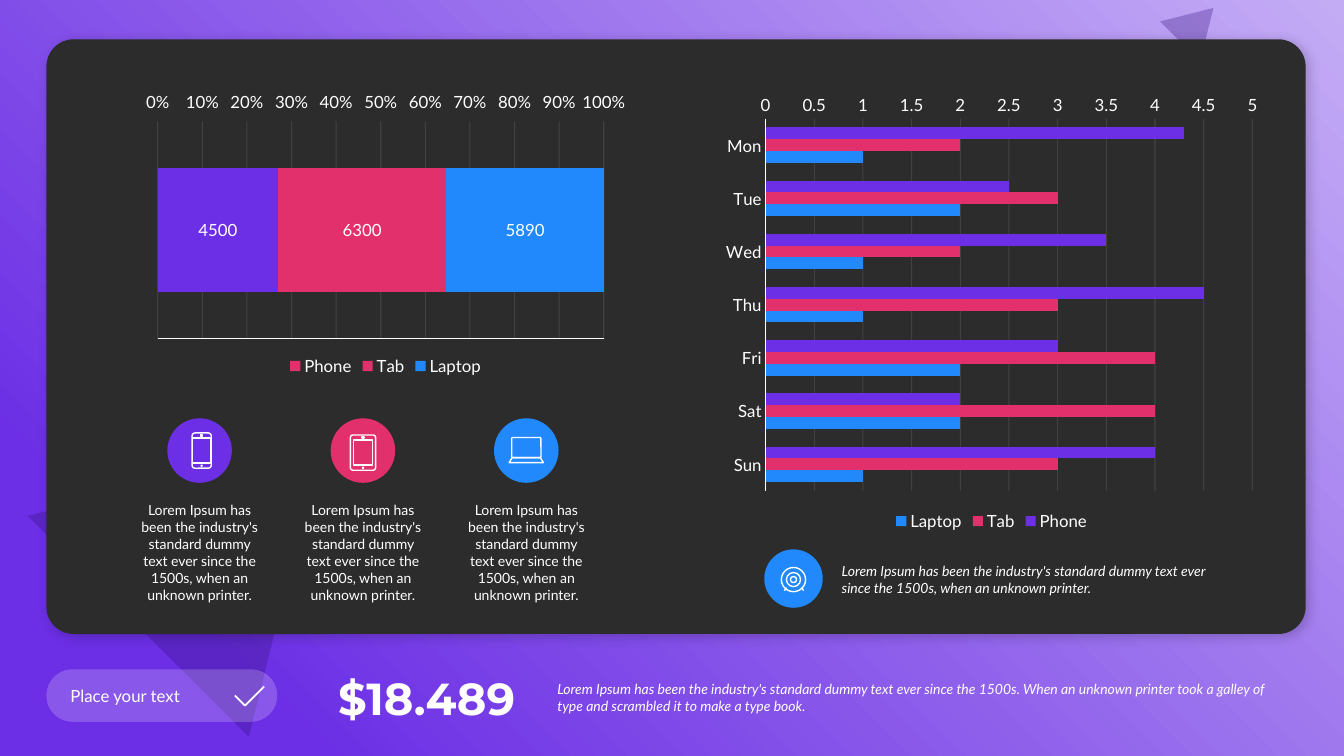
from lxml.etree import SubElement
from pptx import Presentation
from pptx.chart.data import CategoryChartData
from pptx.dml.color import RGBColor
from pptx.enum.chart import XL_CHART_TYPE as Chart, XL_LEGEND_POSITION as Legend
from pptx.enum.chart import XL_TICK_LABEL_POSITION as LabelPosition, XL_TICK_MARK as Tick
from pptx.enum.shapes import MSO_SHAPE as Preset
from pptx.enum.text import MSO_ANCHOR as Anchor, MSO_AUTO_SIZE as AutoSize, PP_ALIGN as Align
from pptx.oxml.ns import qn
from pptx.util import Inches, Pt

WHITE = RGBColor(0xFF, 0xFF, 0xFF)
BLACK = RGBColor(0, 0, 0)
DARK = RGBColor(0x2C, 0x2C, 0x2C)
INDIGO = RGBColor(0x33, 0x0F, 0x7B)
LAVENDER = RGBColor(0xC4, 0xAC, 0xF5)
PURPLE = RGBColor(0x6C, 0x2F, 0xE5)
PINK = RGBColor(0xE1, 0x30, 0x6C)
BLUE = RGBColor(0x21, 0x89, 0xFB)

PRICE = "$18.489"
BUTTON = "Place your text"
SHORT_TEXT = ("Lorem Ipsum has been the industry's standard dummy text ever since "
              "the 1500s, when an unknown printer.")
LONG_TEXT = ("Lorem Ipsum has been the industry's standard dummy text ever since the 1500s. "
             "When an unknown printer took a galley of type and scrambled it to make a type book.")
TOTALS = [("Phone", [4500], PINK), ("Tab", [6300], PINK), ("Laptop", [5890], BLUE)]
DAYS = ["Mon", "Tue", "Wed", "Thu", "Fri", "Sat", "Sun"]
DAILY = [
    ("Phone", [4.3, 2.5, 3.5, 4.5, 3, 2, 4], PURPLE),
    ("Tab", [2, 3, 2, 3, 4, 4, 3], PINK),
    ("Laptop", [1, 2, 1, 1, 2, 2, 1], BLUE),
]
TRIANGLES = [(0.73, 4.02, 3.1, 2.57), (11.59, 0.01, 0.56, 0.47)]
DEVICES = [(1.98, PURPLE), (3.6, PINK), (5.22, BLUE)]
ICON_PARTS = [
    (Preset.ROUNDED_RECTANGLE, 2, 4.47, 0.19, 0.35, 0.15),
    (Preset.RECTANGLE, 2, 4.47, 0.18, 0.25, 0),
    (Preset.OVAL, 2, 4.62, 0.01, 0.01, 0),
    (Preset.RECTANGLE, 2, 4.32, 0.02, 0.01, 0),
    (Preset.ROUNDED_RECTANGLE, 3.6, 4.49, 0.25, 0.35, 0.1),
    (Preset.RECTANGLE, 3.6, 4.49, 0.19, 0.25, 0),
    (Preset.OVAL, 3.6, 4.64, 0.01, 0.01, 0),
    (Preset.RECTANGLE, 3.6, 4.34, 0.02, 0.01, 0),
    (Preset.ROUNDED_RECTANGLE, 5.22, 4.44, 0.29, 0.2, 0.06),
    (Preset.OVAL, 7.87, 5.75, 0.24, 0.24, 0),
    (Preset.OVAL, 7.87, 5.75, 0.14, 0.14, 0),
    (Preset.OVAL, 7.87, 5.75, 0.06, 0.06, 0),
]
ICON_LINES = [
    ([(5.08, 4.54), (5.05, 4.59), (5.39, 4.59), (5.36, 4.54)], True),
    ([(7.8, 5.83), (7.78, 5.86)], False),
    ([(7.95, 5.83), (7.97, 5.86)], False),
]
CHECK = [(2.33, 6.9), (2.43, 7), (2.62, 6.81)]


def set_alpha(element, percent):
    for color in element.iter(qn("a:srgbClr")):
        SubElement(color, qn("a:alpha"), val=str(percent * 1000))


def add_box(shapes, preset, left, top, width, height, color, alpha=100, corner=None):
    shape = shapes.add_shape(preset, Inches(left), Inches(top), Inches(width), Inches(height))
    shape.shadow.inherit = False
    shape.fill.solid()
    shape.fill.fore_color.rgb = color
    shape.line.fill.background()
    if corner is not None:
        shape.adjustments[0] = corner
    if alpha < 100:
        set_alpha(shape._element.spPr, alpha)
    return shape


def outline(shape, width):
    shape.shadow.inherit = False
    shape.fill.background()
    shape.line.color.rgb = WHITE
    shape.line.width = Pt(width)


def add_outline(shapes, points, width, close=False):
    start, *others = points
    builder = shapes.build_freeform(Inches(start[0]), Inches(start[1]), scale=1.0)
    builder.add_line_segments([(Inches(x), Inches(y)) for x, y in others], close=close)
    outline(builder.convert_to_shape(), width)


def write(shape, text, size, font="Lato", align=Align.LEFT, anchor=Anchor.MIDDLE,
          bold=False, italic=False):
    frame = shape.text_frame
    frame.word_wrap = True
    frame.auto_size = AutoSize.NONE
    frame.vertical_anchor = anchor
    frame.text = text
    paragraph = frame.paragraphs[0]
    paragraph.alignment = align
    paragraph.font.name = font
    paragraph.font.size = Pt(size)
    paragraph.font.bold = bold
    paragraph.font.italic = italic
    paragraph.font.color.rgb = WHITE


def add_text(shapes, left, top, width, height, text, size, **style):
    box = shapes.add_textbox(Inches(left), Inches(top), Inches(width), Inches(height))
    write(box, text, size, **style)


def add_bars(shapes, kind, left, top, width, height, categories, rows, gap):
    data = CategoryChartData()
    data.categories = categories
    for name, values, _ in rows:
        data.add_series(name, values)
    chart = shapes.add_chart(kind, Inches(left), Inches(top), Inches(width), Inches(height),
                             data).chart
    chart.has_title = False
    chart.font.name = "Lato"
    chart.font.size = Pt(12)
    chart.font.color.rgb = WHITE
    chart.has_legend = True
    chart.legend.position = Legend.BOTTOM
    chart.legend.include_in_layout = False
    plot = chart.plots[0]
    plot.vary_by_categories = False
    plot.gap_width = gap
    for series, (_, _, color) in zip(plot.series, rows):
        series.format.fill.solid()
        series.format.fill.fore_color.rgb = color
    axis = chart.value_axis
    axis.major_tick_mark = Tick.NONE
    axis.has_major_gridlines = True
    grid = axis.major_gridlines
    grid.format.line.color.rgb = WHITE
    grid.format.line.width = Pt(0.75)
    set_alpha(axis._element.find(qn("c:majorGridlines")), 10)
    return chart


def add_backdrop(shapes):
    backdrop = add_box(shapes, Preset.RECTANGLE, 0, 0, 13.33, 7.5, PURPLE)
    backdrop.fill.gradient()
    for stop, color, position in zip(backdrop.fill.gradient_stops, (LAVENDER, PURPLE), (0, 0.85)):
        stop.color.rgb = color
        stop.position = position
    gradient = backdrop._element.spPr.find(qn("a:gradFill"))
    gradient.remove(gradient.find(qn("a:lin")))
    radial = SubElement(gradient, qn("a:path"), path="circle")
    SubElement(radial, qn("a:fillToRect"), l="100000", b="100000")
    SubElement(gradient, qn("a:tileRect"), t="-100000", r="-100000")
    for bounds in TRIANGLES:
        add_box(shapes, Preset.ISOSCELES_TRIANGLE, *bounds, INDIGO, 30).rotation = 45
    panel = add_box(shapes, Preset.ROUNDED_RECTANGLE, 0.46, 0.39, 12.49, 5.9, DARK, corner=0.046)
    effects = panel._element.spPr.find(qn("a:effectLst"))
    shadow = SubElement(effects, qn("a:outerShdw"), blurRad=str(Pt(8)), dist=str(Pt(3)),
                        dir="2700000", algn="tl", rotWithShape="0")
    SubElement(shadow, qn("a:srgbClr"), val=str(BLACK))
    set_alpha(shadow, 20)


def add_charts(shapes):
    totals = add_bars(shapes, Chart.BAR_STACKED_100, 1.35, 0.85, 4.95, 2.92, ["1"], TOTALS, 75)
    totals.category_axis.visible = False
    totals.value_axis.tick_label_position = LabelPosition.HIGH
    totals.value_axis.tick_labels.number_format = "0%"
    totals.value_axis.tick_labels.number_format_is_linked = False
    totals.value_axis.format.line.color.rgb = WHITE
    plot = totals.plots[0]
    plot.overlap = 100
    plot.has_data_labels = True
    plot.data_labels.show_value = True
    plot.data_labels.font.color.rgb = WHITE
    phone_bar = plot.series[0].points[0].format.fill
    phone_bar.solid()
    phone_bar.fore_color.rgb = PURPLE

    daily = add_bars(shapes, Chart.BAR_CLUSTERED, 7.09, 0.85, 5.49, 4.46, DAYS, DAILY, 150)
    daily.category_axis.reverse_order = True
    daily.category_axis.major_tick_mark = Tick.NONE
    daily.category_axis.format.line.color.rgb = WHITE
    daily.value_axis.format.line.fill.background()
    daily.value_axis.minimum_scale = 0
    daily.value_axis.maximum_scale = 5
    daily.value_axis.major_unit = 0.5


def main():
    presentation = Presentation()
    presentation.slide_width, presentation.slide_height = Inches(13.33), Inches(7.5)
    slide = presentation.slides.add_slide(presentation.slide_layouts[5])
    slide.background.fill.solid()
    slide.background.fill.fore_color.rgb = DARK
    shapes = slide.shapes
    add_backdrop(shapes)
    add_charts(shapes)

    for center, color in DEVICES:
        add_box(shapes, Preset.OVAL, center - 0.32, 4.15, 0.64, 0.64, color)
        add_text(shapes, center - 0.68, 4.93, 1.36, 1.11, SHORT_TEXT, 10,
                 align=Align.CENTER, anchor=Anchor.TOP)
    add_box(shapes, Preset.OVAL, 7.58, 5.45, 0.58, 0.58, BLUE)
    for preset, x, y, width, height, corner in ICON_PARTS:
        part = add_box(shapes, preset, x - width / 2, y - height / 2, width, height, WHITE,
                       corner=corner or None)
        outline(part, 1)
    for points, close in ICON_LINES:
        add_outline(shapes, points, 1, close)
    add_text(shapes, 8.25, 5.53, 4.07, 0.44, SHORT_TEXT, 10, italic=True)

    button = shapes.add_group_shape().shapes
    add_box(button, Preset.ROUNDED_RECTANGLE, 0.46, 6.64, 2.29, 0.52, WHITE, 20, 0.5)
    add_outline(button, CHECK, 1.25)
    add_text(button, 0.6, 6.75, 1.88, 0.3, BUTTON, 12)

    title = shapes.title
    title.left, title.top, title.width, title.height = map(Inches, (3.19, 6.6, 2.02, 0.64))
    write(title, PRICE, 32, font="Montserrat", align=Align.RIGHT, bold=True)
    shapes._spTree.append(title._element)
    add_text(shapes, 5.43, 6.7, 7.33, 0.44, LONG_TEXT, 10, italic=True)
    presentation.save("out.pptx")


if __name__ == "__main__":
    main()
